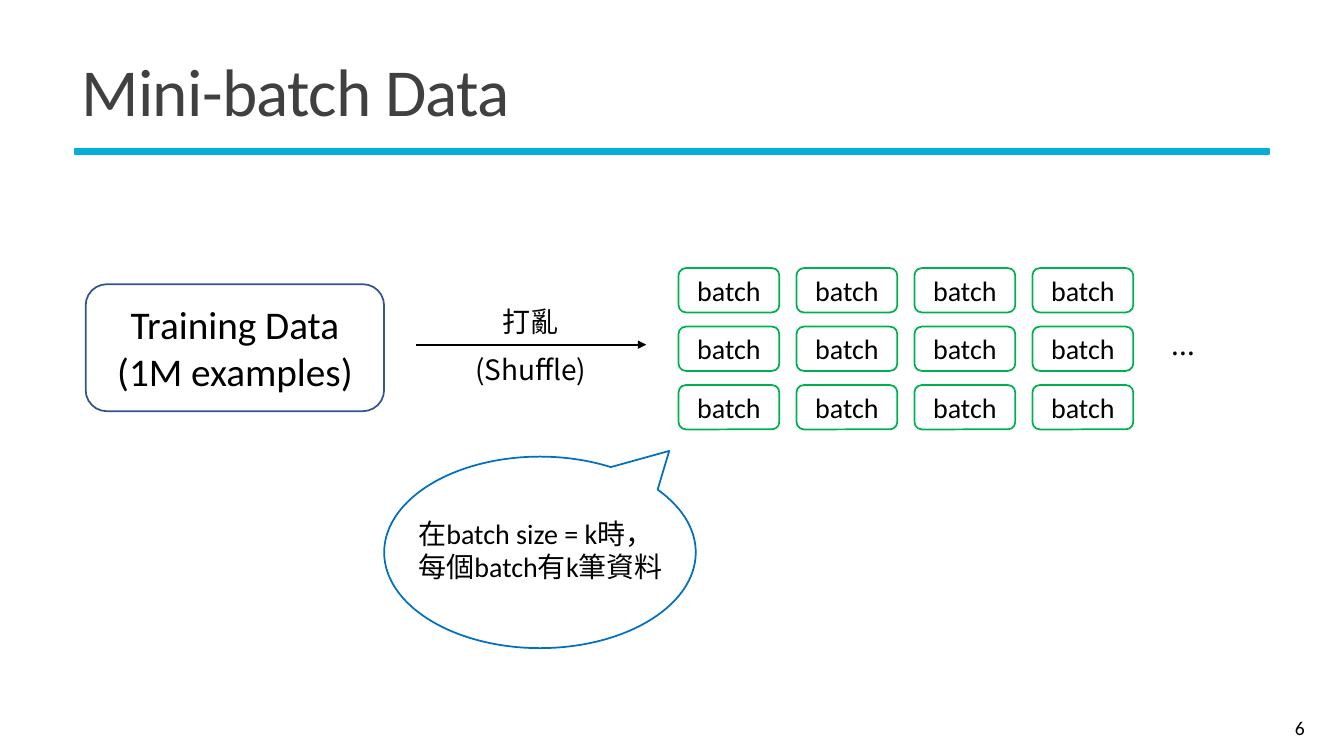
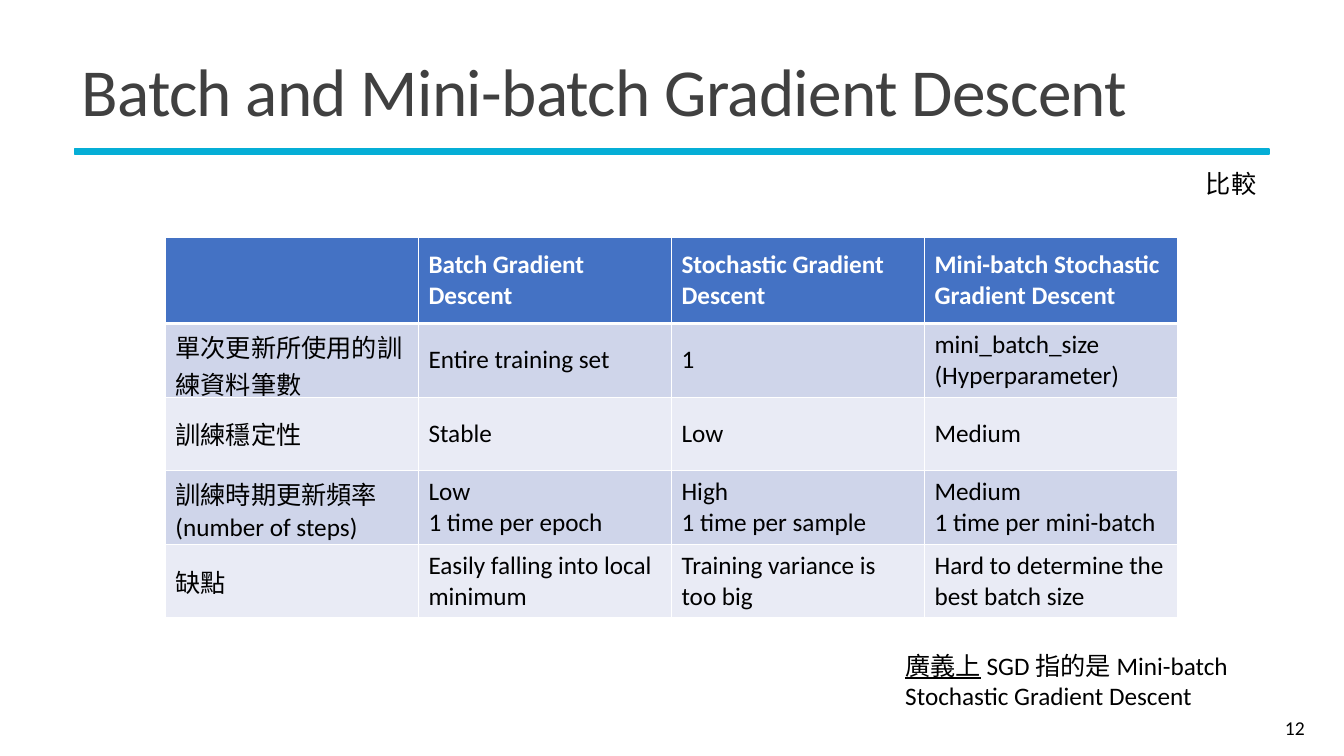
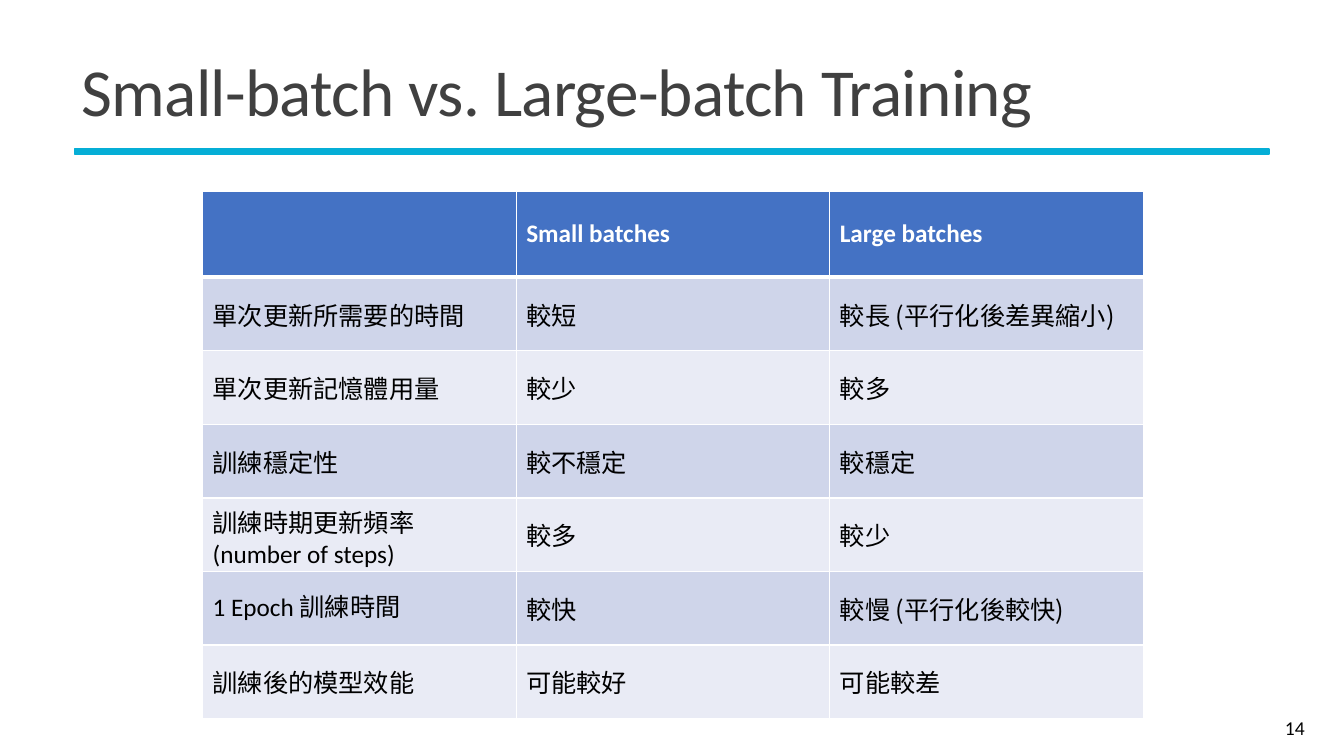
"""Builds three slides on mini-batch training data and gradient descent."""
from lxml import etree
from pptx import Presentation
from pptx.dml.color import RGBColor
from pptx.enum.shapes import MSO_CONNECTOR, MSO_SHAPE
from pptx.enum.text import MSO_ANCHOR, MSO_AUTO_SIZE, PP_ALIGN
from pptx.oxml.ns import qn
from pptx.util import Emu, Pt

LEFT, CENTER, RIGHT = PP_ALIGN.LEFT, PP_ALIGN.CENTER, PP_ALIGN.RIGHT
TOP, MIDDLE = MSO_ANCHOR.TOP, MSO_ANCHOR.MIDDLE
GROW = MSO_AUTO_SIZE.SHAPE_TO_FIT_TEXT
RECT, ROUNDED = MSO_SHAPE.RECTANGLE, MSO_SHAPE.ROUNDED_RECTANGLE
CALLOUT = MSO_SHAPE.OVAL_CALLOUT
STRAIGHT = MSO_CONNECTOR.STRAIGHT

BLACK = RGBColor(0x00, 0x00, 0x00)
WHITE = RGBColor(0xFF, 0xFF, 0xFF)
TITLE_GRAY = RGBColor(0x40, 0x40, 0x40)
RULE_CYAN = RGBColor(0x05, 0xAE, 0xD6)
DATA_BLUE = RGBColor(0x32, 0x54, 0x91)
BATCH_GREEN = RGBColor(0x00, 0xB0, 0x50)
CALLOUT_BLUE = RGBColor(0x00, 0x70, 0xC0)
HEADER_FILL = RGBColor(0x44, 0x72, 0xC4)
BAND_FILLS = (RGBColor(0xCF, 0xD5, 0xEA), RGBColor(0xE9, 0xEB, 0xF5))

LATIN, CJK = "Calibri", "Noto Sans CJK TC"
PX = 9144

TRAINING_DATA = ["Training Data", "(1M examples)"]
BATCH_ROWS, BATCH_COLS = 3, 4
BATCH_NOTE = "在batch size = k時，每個batch有k筆資料"
SGD_NOTE = [("廣義上", True), (" SGD 指的是 Mini-batch Stochastic Gradient Descent", False)]

METHODS = [
    ["", "Batch Gradient Descent", "Stochastic Gradient Descent",
     "Mini-batch Stochastic Gradient Descent"],
    ["單次更新所使用的訓練資料筆數", "Entire training set", "1",
     "mini_batch_size\n(Hyperparameter)"],
    ["訓練穩定性", "Stable", "Low", "Medium"],
    ["訓練時期更新頻率\n(number of steps)", "Low\n1 time per epoch",
     "High\n1 time per sample", "Medium\n1 time per mini-batch"],
    ["缺點", "Easily falling into local minimum", "Training variance is too big",
     "Hard to determine the best batch size"],
]
SIZES = [
    ["", "Small batches", "Large batches"],
    ["單次更新所需要的時間", "較短", "較長 (平行化後差異縮小)"],
    ["單次更新記憶體用量", "較少", "較多"],
    ["訓練穩定性", "較不穩定", "較穩定"],
    ["訓練時期更新頻率\n(number of steps)", "較多", "較少"],
    ["1 Epoch 訓練時間", "較快", "較慢 (平行化後較快)"],
    ["訓練後的模型效能", "可能較好", "可能較差"],
]


def px(*values):
    return [Emu(v * PX) for v in values]


def font_for(text):
    return LATIN if any(c.isascii() and c.isalnum() for c in text) else CJK


def add_run(p, text, size, color=BLACK, font=None, bold=False, underline=False):
    r = p.add_run()
    r.text = text
    f = r.font
    f.name = font or font_for(text)
    f.size, f.bold, f.underline = Pt(size), bold, underline
    f.color.rgb = color
    ea = etree.SubElement(r._r.get_or_add_rPr(), qn("a:ea"))
    ea.set("typeface", f.name)
    return r


def fill_lines(tf, lines, size, align=LEFT, **style):
    for i, line in enumerate(lines):
        p = tf.add_paragraph() if i else tf.paragraphs[0]
        p.alignment = align
        add_run(p, line, size, **style)


def add_text(s, box, lines, size, align=LEFT, anchor=TOP, grow=True, **style):
    tf = s.shapes.add_textbox(*px(*box)).text_frame
    tf.word_wrap = True
    tf.vertical_anchor = anchor
    if grow:
        tf.auto_size = GROW
    fill_lines(tf, lines, size, align, **style)
    return tf


def add_outline(s, kind, box, color, lines=(), size=20):
    sp = s.shapes.add_shape(kind, *px(*box))
    sp.shadow.inherit = False
    sp.fill.background()
    sp.line.color.rgb = color
    sp.line.width = Pt(1.25)
    sp.text_frame.vertical_anchor = MIDDLE
    fill_lines(sp.text_frame, lines, size, CENTER)
    return sp


def add_arrow(s, x1, y1, x2, y2):
    line = s.shapes.add_connector(STRAIGHT, *px(x1, y1, x2, y2))
    line.line.color.rgb = BLACK
    line.line.width = Pt(1.5)
    etree.SubElement(line.line._get_or_add_ln(), qn("a:tailEnd")).set("type", "triangle")
    etree.SubElement(line._element.spPr, qn("a:effectLst"))


def add_borders(cell, bottom):
    tcPr = cell._tc.get_or_add_tcPr()
    for side, width in (("L", 1), ("R", 1), ("T", 1), ("B", bottom)):
        ln = etree.SubElement(tcPr, qn(f"a:ln{side}"), w=str(Pt(width)))
        fill = etree.SubElement(ln, qn("a:solidFill"))
        etree.SubElement(fill, qn("a:srgbClr"), val=str(WHITE))


def add_grid(s, left, top, col_width, rows, header_height=85, row_height=73):
    cols = len(rows[0])
    height = header_height + row_height * (len(rows) - 1)
    table = s.shapes.add_table(
        len(rows), cols, *px(left, top, col_width * cols, height)).table
    for col in table.columns:
        col.width = Emu(col_width * PX)
    for i, texts in enumerate(rows):
        header = i == 0
        table.rows[i].height = Emu((header_height if header else row_height) * PX)
        for j, text in enumerate(texts):
            cell = table.cell(i, j)
            cell.vertical_anchor = MIDDLE
            add_borders(cell, 3 if header else 1)
            cell.fill.solid()
            cell.fill.fore_color.rgb = HEADER_FILL if header else BAND_FILLS[(i - 1) % 2]
            if text:
                fill_lines(cell.text_frame, text.split("\n"), 18,
                           color=WHITE if header else BLACK, bold=header)


def add_slide(prs, title, number):
    s = prs.slides.add_slide(prs.slide_layouts[6])
    rule = add_outline(s, RECT, (74, 148, 1185, 5), RULE_CYAN)
    rule.fill.solid()
    rule.fill.fore_color.rgb = RULE_CYAN
    tf = add_text(s, (71, 39, 1194, 113), [title], 48, anchor=MIDDLE, grow=False,
                  color=TITLE_GRAY)
    p = tf.paragraphs[0]
    p.line_spacing = 0.85
    p.runs[0]._r.get_or_add_rPr().set("spc", "-50")
    add_text(s, (1161, 702, 143, 40), [str(number)], 14, RIGHT, MIDDLE, grow=False)
    return s


def build_data_slide(prs):
    s = add_slide(prs, "Mini-batch Data", 6)
    add_outline(s, ROUNDED, (85, 282, 296, 126), DATA_BLUE, TRAINING_DATA, 28)
    add_arrow(s, 413, 342, 641, 342)
    for top, label in ((297, "打亂"), (345, "(Shuffle)")):
        add_text(s, (454, top, 145, 44), [label], 20, CENTER, font=CJK)
    for col in range(BATCH_COLS):
        for row in range(BATCH_ROWS):
            box = (673 + 117 * col, 266 + 58 * row, 100, 44)
            add_outline(s, ROUNDED, box, BATCH_GREEN, ["batch"])
    add_text(s, (1138, 320, 71, 44), ["..."], 20, CENTER)
    callout = add_outline(s, CALLOUT, (381, 453, 309, 190), CALLOUT_BLUE)
    callout.rotation = 180
    callout.adjustments[0], callout.adjustments[1] = -0.415, 0.53
    add_text(s, (405, 507, 272, 77), [BATCH_NOTE], 20)


def build_methods_slide(prs):
    s = add_slide(prs, "Batch and Mini-batch Gradient Descent", 12)
    add_grid(s, 164, 236, 251, METHODS)
    add_text(s, (1178, 162, 86, 40), ["比較"], 18, CENTER)
    tf = add_text(s, (888, 640, 345, 71), [], 18)
    for text, underline in SGD_NOTE:
        add_run(tf.paragraphs[0], text, 18, font=LATIN, underline=underline)


def build_sizes_slide(prs):
    s = add_slide(prs, "Small-batch vs. Large-batch Training", 14)
    add_grid(s, 201, 190, 311, SIZES)


def main():
    prs = Presentation()
    prs.slide_width, prs.slide_height = px(1333, 750)
    build_data_slide(prs)
    build_methods_slide(prs)
    build_sizes_slide(prs)
    prs.save("out.pptx")


if __name__ == "__main__":
    main()
